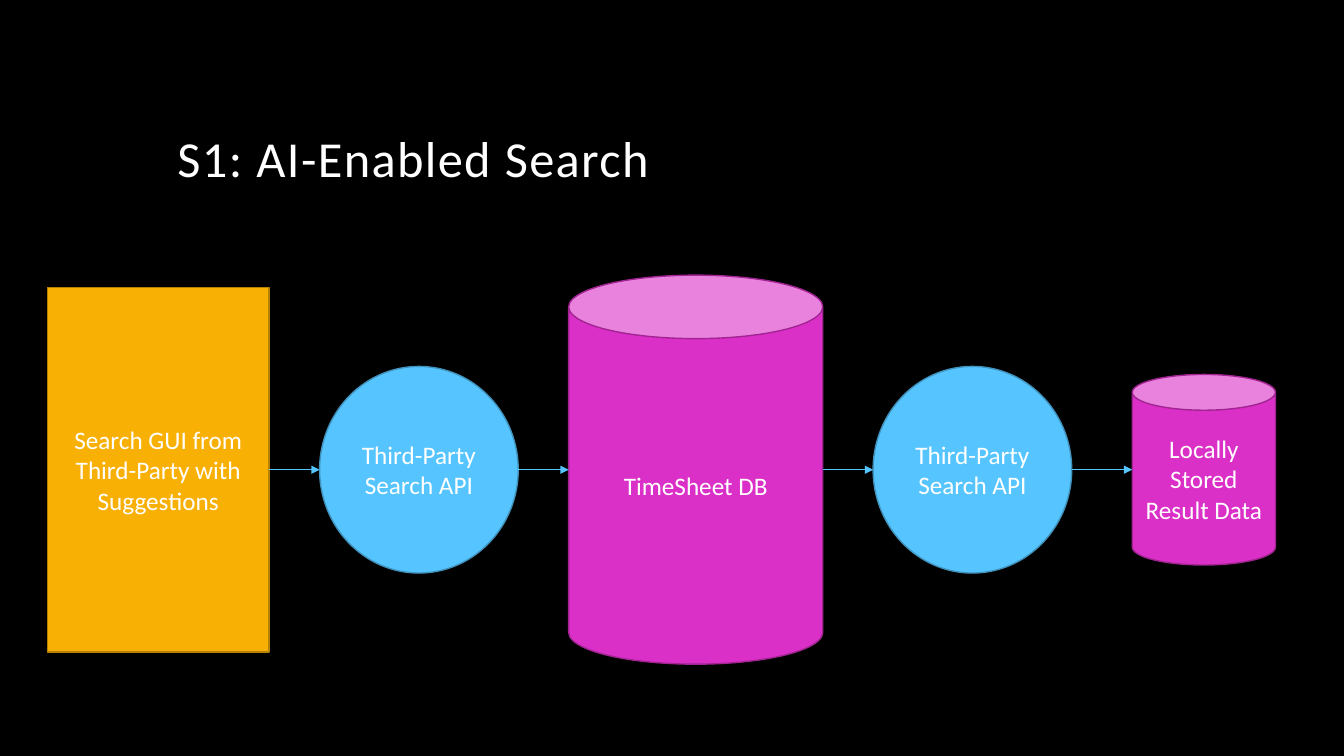
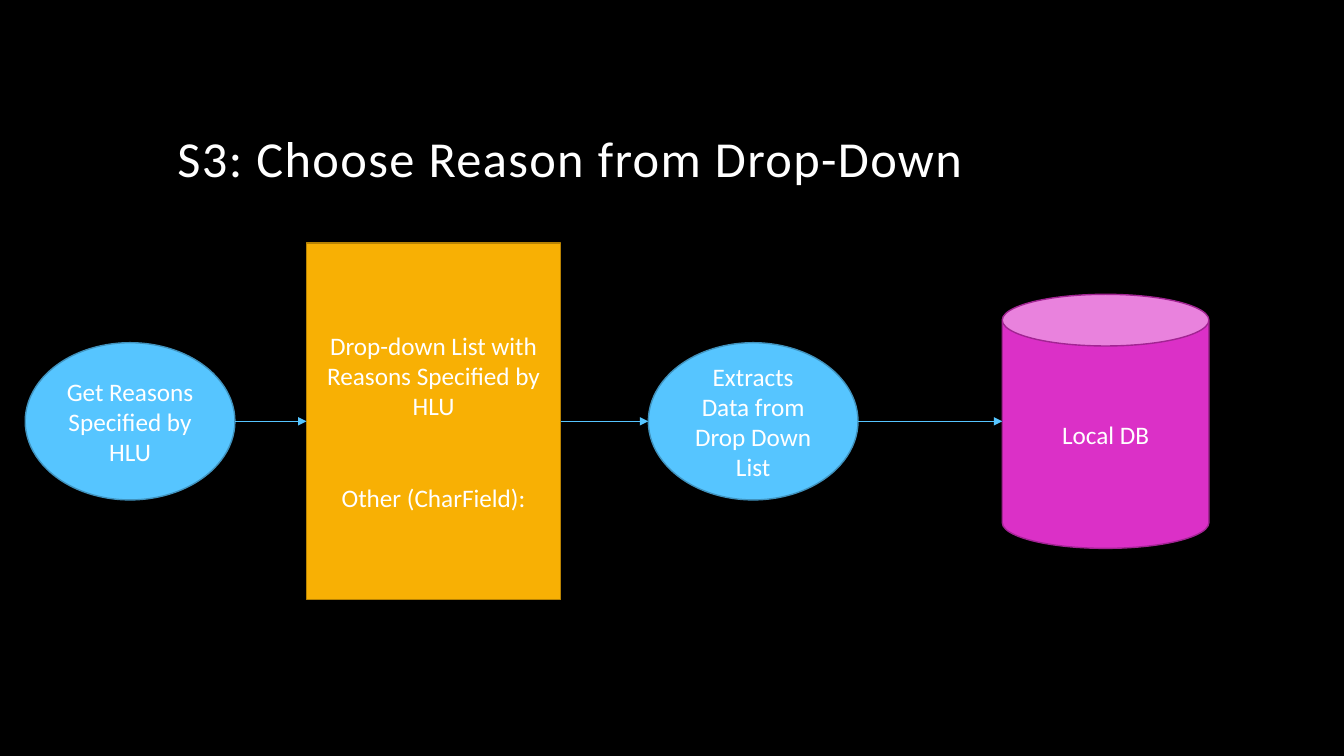
from itertools import pairwise

from pptx import Presentation
from pptx import util as u
from pptx.dml.color import RGBColor
from pptx.enum import shapes, text
from pptx.oxml.ns import qn
from lxml import etree

FONT = "Calibri"
BLACK, WHITE = "000000", "FFFFFF"
SKY = "56C5FF"

# Each kind of step: preset shape, fill, outline
SCREEN = (shapes.MSO_SHAPE.RECTANGLE, "F8B004", "B78203")
PROCESS = (shapes.MSO_SHAPE.OVAL, SKY, "4092BD")
STORE = (shapes.MSO_SHAPE.CAN, "DB30C7", "A22493")


def paint(color_format, hex_color):
    color_format.rgb = RGBColor.from_string(hex_color)


def fill_with(fill, hex_color):
    fill.solid()
    paint(fill.fore_color, hex_color)


def write(frame, *paragraphs, size=18, color=WHITE, align=text.PP_ALIGN.CENTER,
          anchor=text.MSO_ANCHOR.MIDDLE, line_spacing=None, gap=0, tracking=0):
    """Fill a text frame; gap is the space between paragraphs in points."""
    frame.word_wrap = True
    frame.auto_size = text.MSO_AUTO_SIZE.NONE
    frame.vertical_anchor = anchor
    for index, words in enumerate(paragraphs):
        paragraph = frame.add_paragraph() if index else frame.paragraphs[0]
        paragraph.alignment = align
        paragraph.line_spacing = line_spacing
        paragraph.space_before = u.Pt(gap if index else 0)
        run = paragraph.add_run()
        run.text = words
        run.font.name = FONT
        run.font.size = u.Pt(size)
        paint(run.font.color, color)
        if tracking:
            run.font._element.set("spc", str(tracking * 100))


def add_step(slide, kind, left, middle, width, height, *paragraphs):
    """Place one step of the flow, centred on the line at middle."""
    preset, fill, outline = kind
    step = slide.shapes.add_shape(
        preset, u.Inches(left), u.Inches(middle - height / 2),
        u.Inches(width), u.Inches(height))
    step.shadow.inherit = False
    fill_with(step.fill, fill)
    paint(step.line.color, outline)
    step.line.width = u.Pt(1)
    write(step.text_frame, *paragraphs, gap=44)
    return step


def add_arrow(slide, source, target, middle):
    y = u.Inches(middle)
    arrow = slide.shapes.add_connector(
        shapes.MSO_CONNECTOR.STRAIGHT, source.left + source.width, y, target.left, y)
    paint(arrow.line.color, SKY)
    arrow.line.width = u.Pt(0.5)
    etree.SubElement(arrow.line._get_or_add_ln(), qn("a:tailEnd"), type="triangle")
    etree.SubElement(arrow._element.spPr, qn("a:effectLst"))


def add_flow_slide(prs, heading, middle, steps):
    """Title above a left-to-right flow with an arrow between neighbours."""
    slide = prs.slides.add_slide(prs.slide_layouts.get_by_name("Title Only"))

    # Title
    title = slide.shapes.title
    title.left, title.top = u.Inches(1.66), u.Inches(0.42)
    title.width, title.height = u.Inches(10), u.Inches(1.5)
    write(title.text_frame, heading, size=36, align=text.PP_ALIGN.LEFT,
          anchor=text.MSO_ANCHOR.BOTTOM, line_spacing=0.9, tracking=1)

    # Steps and arrows
    placed = [add_step(slide, kind, left, middle, width, height, *paragraphs)
              for kind, left, width, height, *paragraphs in steps]
    for source, target in pairwise(placed):
        add_arrow(slide, source, target, middle)


def main():
    prs = Presentation()
    prs.slide_width, prs.slide_height = u.Inches(13.33), u.Inches(7.5)
    fill_with(prs.slide_master.background.fill, BLACK)

    # Steps: kind, left, width, height, paragraphs
    add_flow_slide(prs, "S1: AI-Enabled Search", 4.66, [
        (SCREEN, 0.47, 2.2, 3.62, "Search GUI from Third-Party with Suggestions"),
        (PROCESS, 3.17, 1.97, 2.05, "Third-Party Search API"),
        (STORE, 5.64, 2.52, 3.86, "TimeSheet DB"),
        (PROCESS, 8.66, 1.97, 2.05, "Third-Party Search API"),
        (STORE, 11.23, 1.42, 1.89, "Locally Stored Result Data"),
    ])
    add_flow_slide(prs, "S3: Choose Reason from Drop-Down", 4.18, [
        (PROCESS, 0.25, 2.08, 1.56, "Get Reasons Specified by HLU"),
        (SCREEN, 3.04, 2.52, 3.54,
         "Drop-down List with Reasons Specified by HLU", "Other (CharField):"),
        (PROCESS, 6.43, 2.08, 1.56, "Extracts Data from Drop Down List"),
        (STORE, 9.94, 2.05, 2.52, "Local DB"),
    ])
    prs.save("out.pptx")


if __name__ == "__main__":
    main()
